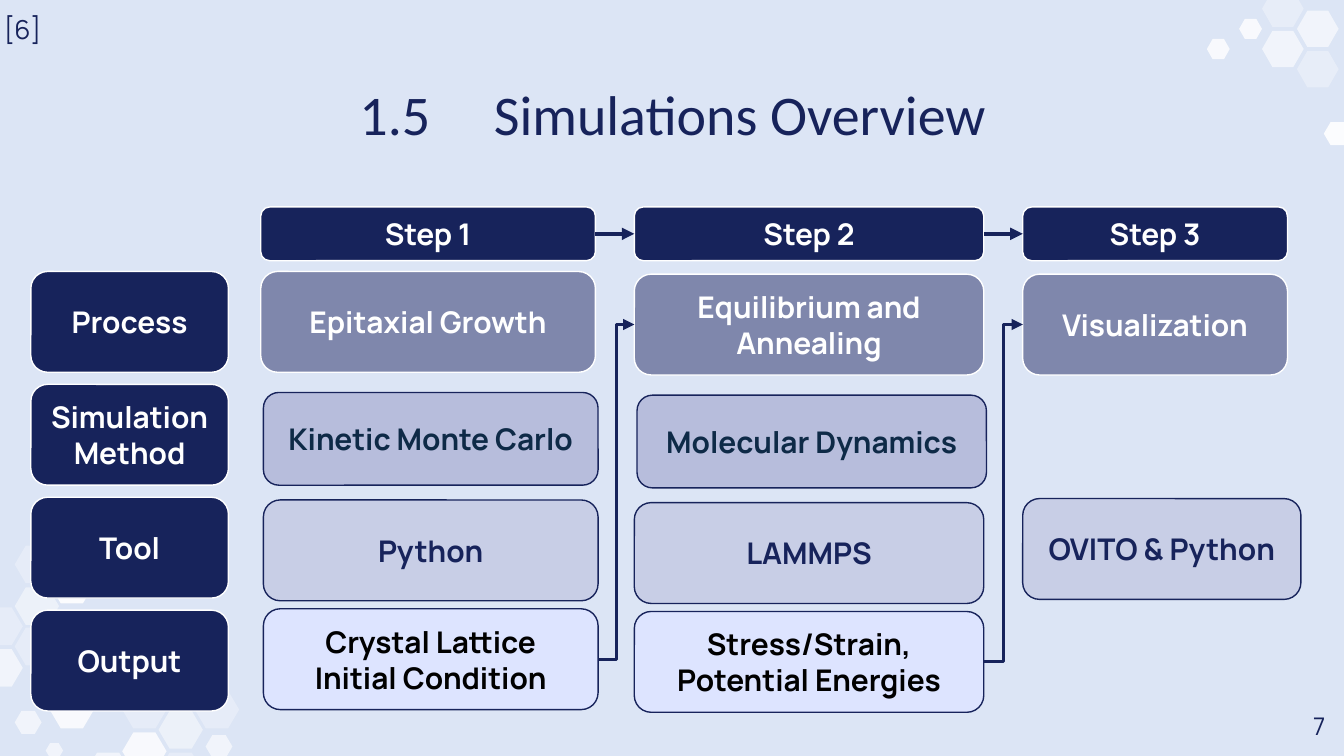
import pptx
import pptx.util
import pptx.dml.color
import pptx.enum.shapes
import pptx.enum.text
import pptx.oxml
import pptx.oxml.ns
from dataclasses import dataclass

Inches = pptx.util.Inches
Pt = pptx.util.Pt
Align = pptx.enum.text.PP_ALIGN
Anchor = pptx.enum.text.MSO_ANCHOR
Link = pptx.enum.shapes.MSO_CONNECTOR


@dataclass(frozen=True)
class Theme:
    back: str = "DCE5F5"
    navy: str = "17235B"
    white: str = "FFFFFF"
    slate: str = "7F87AC"
    mist: str = "B7BDDC"
    haze: str = "C8CEE6"
    pale: str = "DDE4FF"
    ink: str = "0E2A47"
    black: str = "000000"
    head: str = "Calibri"
    body: str = "Manrope"
    title: int = 30
    label: int = 16
    note: int = 14
    page: int = 13


def color(code):
    return pptx.dml.color.RGBColor.from_string(code)


def add(parent, tag, **attrs):
    node = pptx.oxml.parse_xml(f'<a:{tag} {pptx.oxml.ns.nsdecls("a")}/>')
    for key, value in attrs.items():
        node.set(key, str(value))
    parent.append(node)


def write(frame, text, font, size, tint, bold=False, align=Align.LEFT, anchor=Anchor.TOP):
    frame.word_wrap = True
    frame.auto_size = pptx.enum.text.MSO_AUTO_SIZE.NONE
    frame.vertical_anchor = anchor
    frame.margin_left = frame.margin_right = Inches(0.1)
    frame.margin_top = frame.margin_bottom = Inches(0.1)
    para = frame.paragraphs[0]
    para.alignment = align
    run = para.add_run()
    run.text = text
    run.font.name = font
    run.font.size = Pt(size)
    run.font.bold = bold
    run.font.color.rgb = color(tint)


class Deck:
    def __init__(self, theme):
        self.theme = theme
        self.file = pptx.Presentation()
        self.file.slide_width = Inches(10)
        self.file.slide_height = Inches(10) * 9 // 16
        self.slide = self.file.slides.add_slide(self.file.slide_layouts[5])
        fill = self.slide.background.fill
        fill.solid()
        fill.fore_color.rgb = color(theme.back)

    def title(self, text, left, top, width, height):
        shape = self.slide.shapes.title
        shape.left, shape.top = Inches(left), Inches(top)
        shape.width, shape.height = Inches(width), Inches(height)
        write(shape.text_frame, text, self.theme.head, self.theme.title,
              self.theme.navy, align=Align.CENTER)

    def note(self, text, left, top, width, height, size, align=Align.LEFT):
        box = self.slide.shapes.add_textbox(
            Inches(left), Inches(top), Inches(width), Inches(height))
        write(box.text_frame, text, self.theme.body, size, self.theme.navy, align=align)

    def hexagon(self, left, top, width, height, alpha):
        mid = top + height / 2
        low = top + height
        near, far = left + width / 4, left + width * 3 / 4
        points = [(far, top), (left + width, mid), (far, low), (near, low), (left, mid)]
        pen = self.slide.shapes.build_freeform(Inches(near), Inches(top))
        pen.add_line_segments([(Inches(x), Inches(y)) for x, y in points])
        shape = pen.convert_to_shape()
        shape.shadow.inherit = False
        shape.line.fill.background()
        shape.fill.solid()
        shape.fill.fore_color.rgb = color(self.theme.white)
        tint = shape._element.spPr.find(".//" + pptx.oxml.ns.qn("a:srgbClr"))
        add(tint, "alpha", val=alpha * 1000)

    def card(self, text, left, top, width, height, look):
        fill, edge, tint = look
        shape = self.slide.shapes.add_shape(
            pptx.enum.shapes.MSO_SHAPE.ROUNDED_RECTANGLE,
            Inches(left), Inches(top), Inches(width), Inches(height))
        shape.shadow.inherit = False
        shape.fill.solid()
        shape.fill.fore_color.rgb = color(fill)
        shape.line.color.rgb = color(edge)
        shape.line.width = Pt(0.75)
        write(shape.text_frame, text, self.theme.body, self.theme.label, tint,
              bold=True, align=Align.CENTER, anchor=Anchor.MIDDLE)
        return shape

    def arrow(self, start, end, kind, width):
        line = self.slide.shapes.add_connector(kind, 0, 0, 0, 0)
        line.begin_connect(start, 3)
        line.end_connect(end, 1)
        line.line.color.rgb = color(self.theme.navy)
        line.line.width = Pt(width)
        add(line.line._get_or_add_ln(), "tailEnd", type="triangle")
        add(line._element.spPr, "effectLst")


def main():
    theme = Theme()
    deck = Deck(theme)

    for size, cells in {
        (0.33, 0.28): [
            (-0.16, 4.83, 60), (0.64, 5.6, 60), (0.11, 4.37, 48), (1.18, 5.29, 48),
            (0.37, 5.14, 80), (0.91, 5.45, 80), (0.11, 4.06, 30), (0.37, 4.21, 90),
            (0.11, 4.67, 30), (-0.16, 4.52, 30), (1.45, 5.14, 30), (0.91, 5.14, 30),
            (1.18, 5.6, 30)],
        (0.2, 0.17): [(0.11, 5.29, 60), (1.53, 5.47, 60), (9.85, 0.91, 90)],
        (0.13, 0.11): [(0.34, 5.53, 60)],
        (0.31, 0.27): [
            (9.39, -0.07, 33), (9.65, 0.08, 60), (9.39, 0.23, 60), (9.65, 0.38, 33)],
        (0.17, 0.15): [(9.22, 0.14, 80), (8.98, 0.29, 80)],
    }.items():
        for left, top, alpha in cells:
            deck.hexagon(left, top, *size, alpha)

    deck.title("1.5\tSimulations Overview", 0.79, 0.49, 8.43, 0.63)

    dark = (theme.navy, theme.white, theme.white)
    task = (theme.slate, theme.white, theme.white)
    method = (theme.mist, theme.navy, theme.ink)
    tool = (theme.haze, theme.navy, theme.navy)
    result = (theme.pale, theme.navy, theme.black)

    for row, text in enumerate(["Process", "Simulation Method", "Tool", "Output"]):
        deck.card(text, 0.23, 2.02 + row * 0.84, 1.47, 0.75, dark)

    lanes = [(1.94, 2.49), (4.72, 2.6), (7.61, 1.97)]
    steps = [deck.card(f"Step {count}", left, 1.54, width, 0.4, dark)
             for count, (left, width) in enumerate(lanes, 1)]
    tasks = [deck.card(text, left, top, width, 0.75, task)
             for text, top, (left, width) in zip(
                 ["Epitaxial Growth", "Equilibrium and Annealing", "Visualization"],
                 [2.02, 2.04, 2.04], lanes)]

    for text, left, top, width in [
            ("Kinetic Monte Carlo", 1.96, 2.92, 2.49),
            ("Molecular Dynamics", 4.74, 2.94, 2.6)]:
        deck.card(text, left, top, width, 0.69, method)
    for text, left, top, width in [
            ("Python", 1.96, 3.72, 2.49),
            ("LAMMPS", 4.72, 3.74, 2.6),
            ("OVITO & Python", 7.61, 3.71, 2.07)]:
        deck.card(text, left, top, width, 0.75, tool)
    results = [deck.card(text, left, top, width, 0.75, result)
               for text, left, top, width in [
                   ("Crystal Lattice Initial Condition", 1.96, 4.53, 2.49),
                   ("Stress/Strain, Potential Energies", 4.72, 4.55, 2.6)]]

    for start, end in zip(steps, steps[1:]):
        deck.arrow(start, end, Link.STRAIGHT, 2.25)
    for start, end in zip(results, tasks[1:]):
        deck.arrow(start, end, Link.ELBOW, 1.5)

    deck.note("7", 9.36, 5.19, 0.6, 0.43, theme.page, Align.RIGHT)
    deck.note("[6]", -0.07, 0, 0.54, 0.7, theme.note)
    deck.file.save("out.pptx")


if __name__ == "__main__":
    main()
